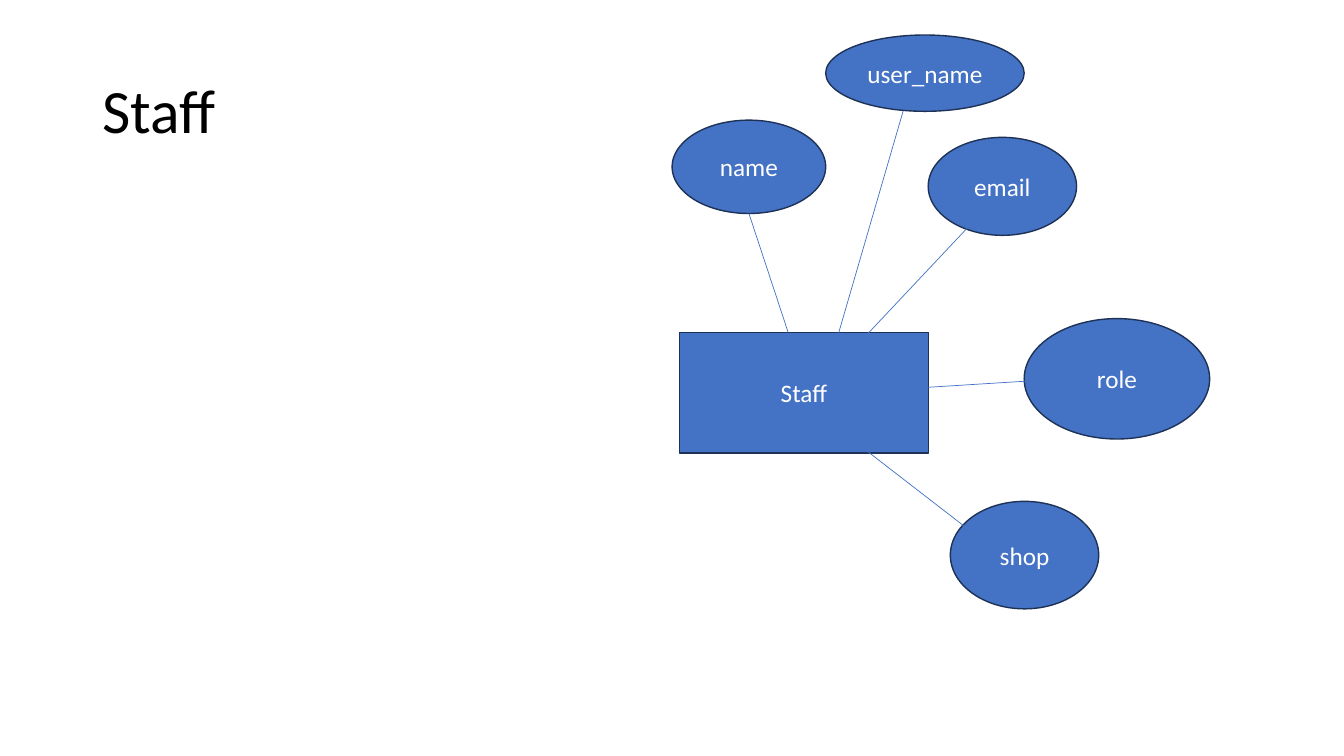
"""Builds a slide with the Staff entity and its attributes."""
import pptx
import pptx.dml.color
import pptx.enum.shapes
import pptx.enum.text
import pptx.oxml.ns
import pptx.util
from lxml import etree

Pt = pptx.util.Pt
RGB = pptx.dml.color.RGBColor.from_string
SHAPE = pptx.enum.shapes.MSO_SHAPE
ALIGN = pptx.enum.text.PP_ALIGN
COLORS = {"fill": "4472C4", "outline": "1E3256", "label": "FFFFFF", "title": "000000"}


def write(shape, text, size=18, color="label", align=ALIGN.CENTER, spacing=1.0):
    frame = shape.text_frame
    frame.word_wrap = True
    frame.vertical_anchor = pptx.enum.text.MSO_ANCHOR.MIDDLE
    paragraph = frame.paragraphs[0]
    paragraph.alignment = align
    paragraph.line_spacing = spacing
    run = paragraph.add_run()
    run.text = text
    run.font.name = "Calibri"
    run.font.size = Pt(size)
    run.font.color.rgb = RGB(COLORS[color])


prs = pptx.Presentation()
prs.slide_width, prs.slide_height = Pt(960), Pt(540)
slide = prs.slides.add_slide(prs.slide_layouts[6])

heading = slide.shapes.add_textbox(Pt(66), Pt(28.75), Pt(828), Pt(104.4))
write(heading, "Staff", size=44, color="title", align=ALIGN.LEFT, spacing=0.9)

nodes = [
    ("Staff", SHAPE.RECTANGLE, 485.2, 237.5, 178, 86),
    ("name", SHAPE.OVAL, 480.1, 85.8, 109.7, 66.7),
    ("email", SHAPE.OVAL, 663, 98.1, 106, 70),
    ("role", SHAPE.OVAL, 731.6, 227.6, 132.5, 86),
    ("shop", SHAPE.OVAL, 678.8, 358.1, 106, 76.8),
    ("user_name", SHAPE.OVAL, 589.8, 25, 141.8, 54.5),
]
for label, outline, left, top, width, height in nodes:
    node = slide.shapes.add_shape(outline, Pt(left), Pt(top), Pt(width), Pt(height))
    node.shadow.inherit = False
    node.fill.solid()
    node.fill.fore_color.rgb = RGB(COLORS["fill"])
    node.line.color.rgb = RGB(COLORS["outline"])
    node.line.width = Pt(1)
    write(node, label)

links = [
    (535, 152.6, 563, 237.5),
    (700.6, 152.6, 607.7, 251.3),
    (769, 270, 607.7, 280.1),
    (715.7, 396.7, 607.7, 313.2),
    (589.7, 270, 645.1, 79.4),
]
for ends in links:
    link = slide.shapes.add_connector(
        pptx.enum.shapes.MSO_CONNECTOR.STRAIGHT, *[Pt(end) for end in ends])
    link.line.color.rgb = RGB(COLORS["fill"])
    link.line.width = Pt(0.5)
    etree.SubElement(link._element.spPr, pptx.oxml.ns.qn("a:effectLst"))

prs.save("out.pptx")
